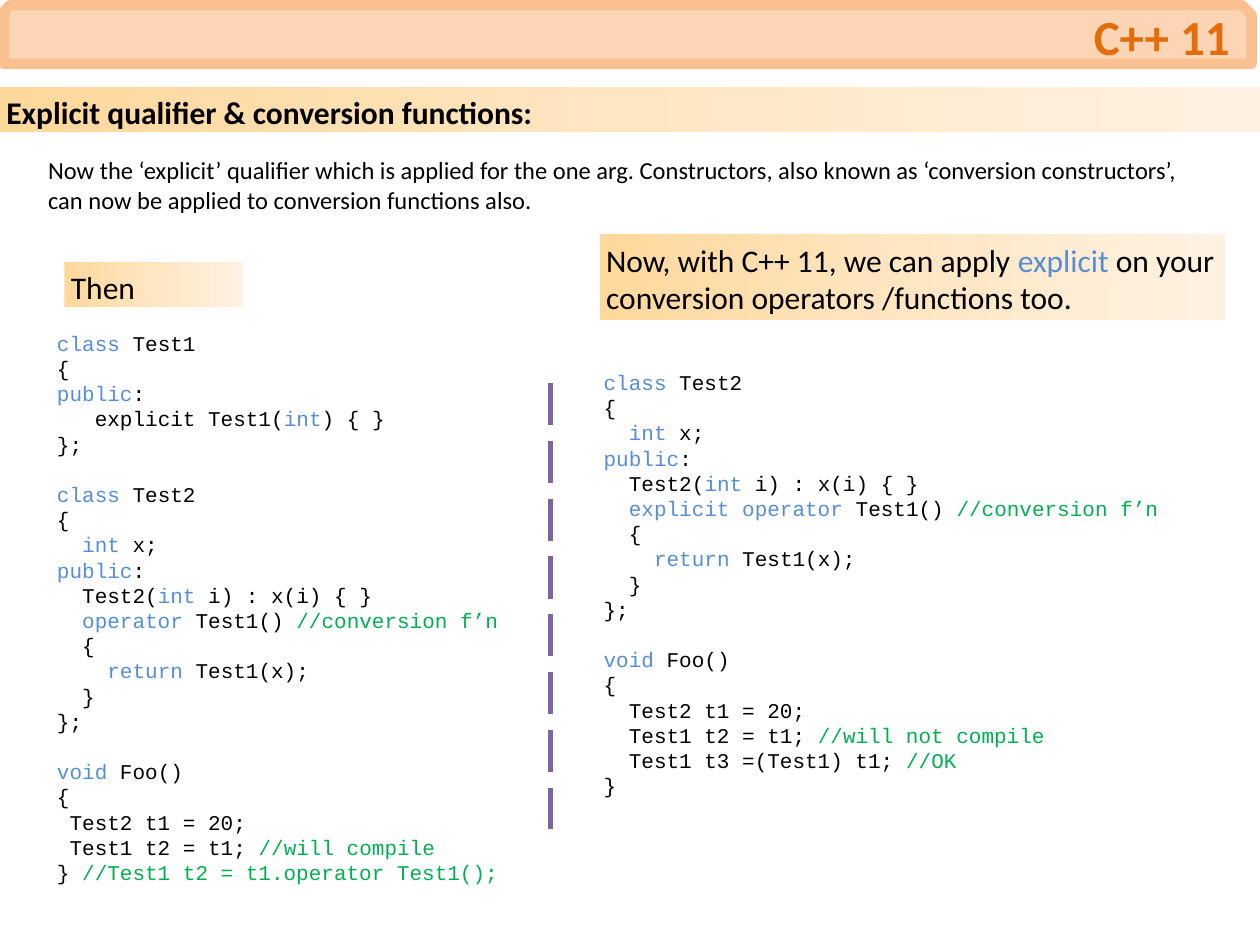
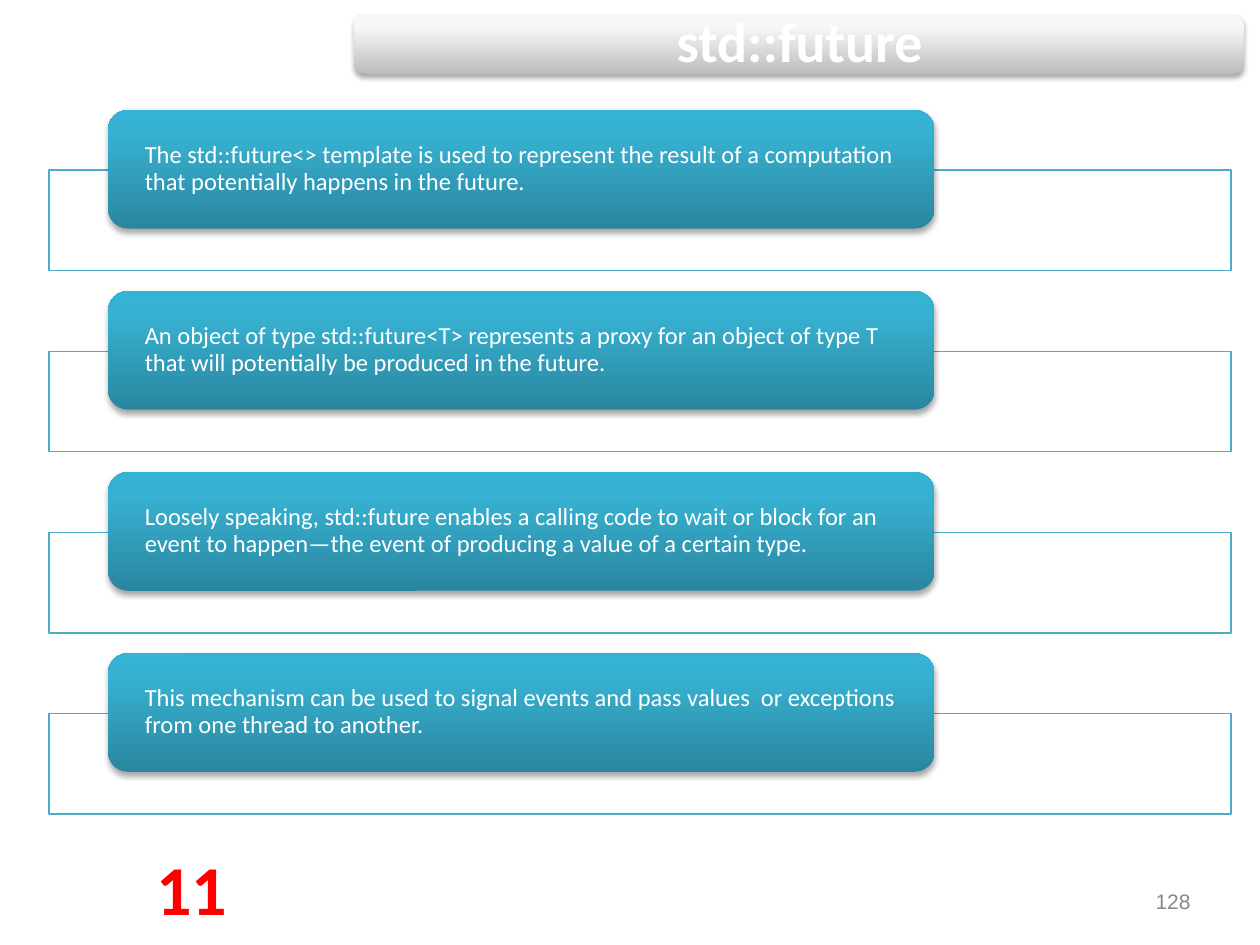
from typing import NamedTuple

from lxml import etree
from pptx import Presentation, util as u
from pptx.dml import color as dml
from pptx.enum import dml as line_styles, shapes, text
from pptx.oxml import ns

# Shared colours and fonts
BLACK, WHITE, RED, GREY = "000000", "FFFFFF", "FF0000", "888888"
KEYWORD, COMMENT = "558ED5", "00B050"
AMBER = ((0, "FFD89C"), (50, "FFE6C3"), (100, "FFF2E2"))
TEAL = ((0, "2A869F"), (80, "37B1D1"), (100, "34B3D5"))
SILVER = ((0, "BCBCBC"), (80, "F7F7F7"), (100, "F8F8F8"))
BODY_FONT, CODE_FONT = "Calibri", "Courier New"
CODE_CHAR_CM = 0.254
CODE_LINE_PT = 14.4

LEFT, CENTER, RIGHT = (text.PP_ALIGN.LEFT, text.PP_ALIGN.CENTER,
                       text.PP_ALIGN.RIGHT)
PRESET = shapes.MSO_SHAPE


class Box(NamedTuple):
    """Left, top, width and height in centimetres."""
    left: float
    top: float
    width: float
    height: float

    def lengths(self) -> list:
        return [u.Cm(value) for value in self]


class Run(NamedTuple):
    words: str
    color: str = BLACK


class Line(NamedTuple):
    runs: list
    indent: float = 0
    before: float = 0


class Listing(NamedTuple):
    box: Box
    comment_column: int
    source: str


class AmberLabel(NamedTuple):
    box: Box
    runs: list
    bold: bool = False


THEN_CODE = """\
`class` Test1
{
`public`:
   explicit Test1(`int`) { }
};

`class` Test2
{
  `int` x;
`public`:
  Test2(`int` i) : x(i) { }
  `operator` Test1() //conversion f’n
  {
    `return` Test1(x);
  }
};

`void` Foo()
{
 Test2 t1 = 20;
 Test1 t2 = t1;\t//will compile
} //Test1 t2 = t1.operator Test1();"""

NOW_CODE = """\
`class` Test2
{
  `int` x;
`public`:
  Test2(`int` i) : x(i) { }
  `explicit operator` Test1() //conversion f’n
  {
    `return` Test1(x);
  }
};

`void` Foo()
{
  Test2 t1 = 20;
  Test1 t2 = t1;\t//will not compile
  Test1 t3 =(Test1) t1; //OK
}"""

LISTINGS = (
    Listing(Box(1.02, 6.53, 9.75, 11.13), 19, THEN_CODE),
    Listing(Box(12.04, 7.32, 12.45, 9.14), 20, NOW_CODE),
)

AMBER_LABELS = (
    AmberLabel(Box(0, 1.75, 25.4, 0.91),
               [Run("Explicit qualifier & conversion functions:")], True),
    AmberLabel(Box(12.09, 4.72, 12.6, 1.73),
               [Run("Now, with C++ 11, we can apply "),
                Run("explicit ", KEYWORD),
                Run("on your conversion operators /functions too.")]),
    AmberLabel(Box(1.3, 5.28, 3.61, 0.91), [Run("Then")]),
)

FUTURE_FACTS = (
    "The std::future<> template is used to represent the result of a "
    "computation that potentially happens in the future.",
    "An object of type std::future<T> represents a proxy for an object of "
    "type T that will potentially be produced in the future.",
    "Loosely speaking, std::future enables a calling code to wait or block "
    "for an event to happen—the event of producing a value of a certain type.",
    "This mechanism can be used to signal events and pass values  or "
    "exceptions from one thread to another.",
)


def rgb(value: str) -> dml.RGBColor:
    return dml.RGBColor.from_string(value)


def write(holder, lines, *, size=14, font=BODY_FONT, color=BLACK, bold=False,
          align=LEFT, middle=False, inset=0.13, spacing=None, tab=None):
    """Fill a shape with one string or a list of Lines."""
    frame = holder.text_frame
    frame.word_wrap = True
    frame.vertical_anchor = (text.MSO_ANCHOR.MIDDLE if middle
                             else text.MSO_ANCHOR.TOP)
    frame.margin_left = frame.margin_right = u.Cm(inset)
    frame.margin_top = frame.margin_bottom = u.Cm(inset)
    if isinstance(lines, str):
        lines = [Line([Run(lines, color)])]
    for number, line in enumerate(lines):
        para = frame.add_paragraph() if number else frame.paragraphs[0]
        para.alignment = align
        para.space_before = u.Pt(line.before)
        if spacing:
            para.line_spacing = spacing
        for words, run_color in line.runs:
            run = para.add_run()
            run.text = words
            run.font.size, run.font.name = u.Pt(size), font
            run.font.bold = bold
            run.font.color.rgb = rgb(run_color)
        props = para.runs[0].font and para._p.get_or_add_pPr()
        props.set("marL", str(u.Cm(line.indent)))
        props.set("indent", "0")
        if tab and any("\t" in run.words for run in line.runs):
            stops = etree.SubElement(props, ns.qn("a:tabLst"))
            etree.SubElement(stops, ns.qn("a:tab"), pos=str(u.Cm(tab)),
                             algn="l")


def label(slide, box: Box, lines, **style) -> None:
    write(slide.shapes.add_textbox(*box.lengths()), lines, **style)


def panel(slide, preset, box: Box, fill, *, angle=0, line=None, width=0.75):
    """Add a preset shape with a solid colour or gradient stops."""
    shape = slide.shapes.add_shape(preset, *box.lengths())
    shape.shadow.inherit = False
    if isinstance(fill, str):
        shape.fill.solid()
        shape.fill.fore_color.rgb = rgb(fill)
    else:
        shape.fill.gradient()
        shape.fill.gradient_angle = angle
        stops = shape.element.spPr.find(".//" + ns.qn("a:gsLst"))
        for stop in list(stops):
            stops.remove(stop)
        for position, value in fill:
            stop = etree.SubElement(stops, ns.qn("a:gs"),
                                    pos=str(position * 1000))
            etree.SubElement(stop, ns.qn("a:srgbClr"), val=value)
    if line:
        shape.line.color.rgb = rgb(line)
        shape.line.width = u.Pt(width)
    else:
        shape.line.fill.background()
    return shape


def raised_panel(slide, box: Box, stops) -> None:
    """Add a rounded panel lit from above with a soft shadow below."""
    shape = panel(slide, PRESET.ROUNDED_RECTANGLE, box, stops, angle=90)
    effects = shape.element.spPr.find(ns.qn("a:effectLst"))
    shadow = etree.SubElement(
        effects, ns.qn("a:outerShdw"), blurRad=str(u.Pt(3)),
        dist=str(u.Pt(1.8)), dir="5400000", rotWithShape="0")
    tint = etree.SubElement(shadow, ns.qn("a:srgbClr"), val=BLACK)
    etree.SubElement(tint, ns.qn("a:alpha"), val="35000")


def highlight(source: str) -> list:
    """Turn code into Lines; backticks enclose keywords, // opens a comment."""
    lines, before = [], 0
    for row in source.split("\n"):
        if not row:
            before = CODE_LINE_PT
            continue
        body = row.lstrip(" ")
        code, slashes, remark = body.partition("//")
        runs = [Run(part, KEYWORD if index % 2 else BLACK)
                for index, part in enumerate(code.split("`")) if part]
        if slashes:
            runs.append(Run(slashes + remark, COMMENT))
        indent = (len(row) - len(body)) * CODE_CHAR_CM
        lines.append(Line(runs, indent, before))
        before = 0
    return lines


def explicit_slide(slide) -> None:
    # Title band
    panel(slide, PRESET.SNIP_ROUND_RECTANGLE, Box(0.08, 0.1, 25.15, 1.19),
          "FCD5B5", line="FAC090", width=6)
    label(slide, Box(0.38, 0.1, 24.54, 1.24), "C++ 11", size=28,
          color="E46C0A", bold=True, align=RIGHT, middle=True)

    # Heading and column captions
    for caption in AMBER_LABELS:
        write(panel(slide, PRESET.RECTANGLE, caption.box, AMBER),
              [Line(caption.runs)], size=18, bold=caption.bold)
    label(slide, Box(0.84, 3, 23.34, 1.42),
          "Now the ‘explicit’ qualifier which is applied for the one arg. "
          "Constructors, also known as ‘conversion constructors’, can now be "
          "applied to conversion functions also.")

    # Code columns and their divider
    for listing in LISTINGS:
        label(slide, listing.box, highlight(listing.source), size=12,
              font=CODE_FONT, tab=listing.comment_column * CODE_CHAR_CM)
    divider = slide.shapes.add_connector(
        shapes.MSO_CONNECTOR.STRAIGHT,
        u.Cm(11.1), u.Cm(7.72), u.Cm(11.1), u.Cm(16.71))
    divider.line.color.rgb = rgb("8064A2")
    divider.line.width = u.Pt(3)
    divider.line.dash_style = line_styles.MSO_LINE.LONG_DASH
    etree.SubElement(divider.element.spPr, ns.qn("a:effectLst"))


def future_slide(slide) -> None:
    # Facts: an outlined frame with a raised card on its upper edge
    for row, fact in enumerate(FUTURE_FACTS):
        drop = row * 3.65
        panel(slide, PRESET.RECTANGLE, Box(0.99, 3.43 + drop, 23.83, 2.03),
              WHITE, line="4BACC6")
        raised_panel(slide, Box(2.18, 2.22 + drop, 16.66, 2.39), TEAL)
        label(slide, Box(2.92, 2.85 + drop, 15.19, 1.12), fact, color=WHITE,
              middle=True, inset=0, spacing=0.9)

    # Title
    raised_panel(slide, Box(7.14, 0.3, 17.93, 1.19), SILVER)
    label(slide, Box(7.21, 0, 17.83, 1.8), "std::future", size=32,
          color=WHITE, bold=True, align=CENTER, middle=True, inset=0.33,
          spacing=0.9)

    # Footer
    label(slide, Box(22.9, 17.83, 1.23, 0.69), "128", size=12, font="Arial",
          color=GREY, align=RIGHT, middle=True)
    label(slide, Box(2.9, 16.92, 1.93, 1.68), "11", size=40, color=RED,
          bold=True, align=CENTER)


def main() -> None:
    deck = Presentation()
    deck.slide_width, deck.slide_height = u.Cm(25.4), u.Cm(19.05)
    blank = deck.slide_layouts[6]
    for build in (explicit_slide, future_slide):
        build(deck.slides.add_slide(blank))
    deck.save("out.pptx")


if __name__ == "__main__":
    main()
